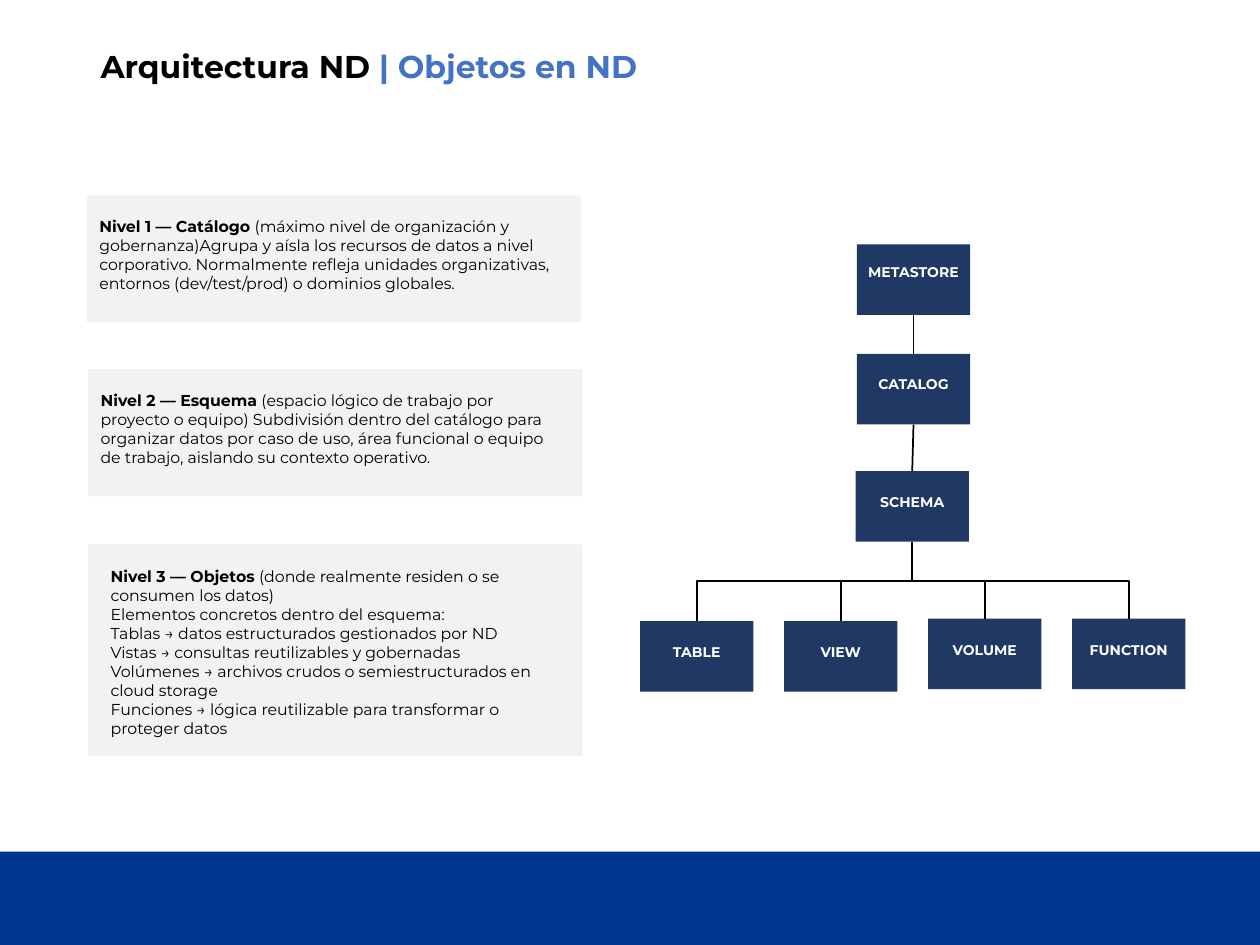
from lxml import etree
from pptx import Presentation
from pptx.dml.color import RGBColor
from pptx.enum.shapes import MSO_CONNECTOR, MSO_SHAPE
from pptx.enum.text import MSO_ANCHOR, PP_ALIGN
from pptx.oxml.ns import qn
from pptx.util import Inches, Pt

RECT = MSO_SHAPE.RECTANGLE
STRAIGHT, ELBOW = MSO_CONNECTOR.STRAIGHT, MSO_CONNECTOR.ELBOW
CENTER, LEFT = PP_ALIGN.CENTER, PP_ALIGN.LEFT
MIDDLE, TOP = MSO_ANCHOR.MIDDLE, MSO_ANCHOR.TOP
FONT = "Montserrat"
BLUE, NAVY, GRAY = "003594", "203864", "F2F2F2"
BLACK, WHITE, ACCENT = "000000", "FFFFFF", "4472C4"
NODE_W, NODE_H = 0.9, 0.56
LABEL_W, LABEL_H = 0.98, 0.34
PANEL_W, PANEL_TEXT_W = 3.92, 3.84
BUS_DROP = 0.31

PANELS = [
    (0.69, 1.55, 1.01, 0, 0.12, [
        ("Nivel 1 — Catálogo ",
         "(máximo nivel de organización y gobernanza)Agrupa y aísla los "
         "recursos de datos a nivel corporativo. Normalmente refleja unidades "
         "organizativas, entornos (dev/test/prod) o dominios globales."),
    ]),
    (0.7, 2.93, 1.01, 0, 0.12, [
        ("Nivel 2 — Esquema ",
         "(espacio lógico de trabajo por proyecto o equipo) Subdivisión dentro "
         "del catálogo para organizar datos por caso de uso, área funcional o "
         "equipo de trabajo, aislando su contexto operativo."),
    ]),
    (0.7, 4.32, 1.68, 0.08, 0.13, [
        ("Nivel 3 — Objetos ",
         "(donde realmente residen o se consumen los datos)"),
        ("", "Elementos concretos dentro del esquema:"),
        ("", "Tablas → datos estructurados gestionados por ND"),
        ("", "Vistas → consultas reutilizables y gobernadas"),
        ("", "Volúmenes → archivos crudos o semiestructurados en cloud storage"),
        ("", "Funciones → lógica reutilizable para transformar o proteger datos"),
    ]),
]
TRUNK = [("METASTORE", 6.8, 1.94, 0.1), ("CATALOG", 6.8, 2.81, 0.12),
         ("SCHEMA", 6.79, 3.74, 0.13)]
LEAVES = [("TABLE", 4.93), ("VIEW", 4.93), ("VOLUME", 4.91), ("FUNCTION", 4.91)]
LEAF_X, LEAF_STEP = 5.08, 1.143


def rgb(value):
    """Return the colour for a hex string."""
    return RGBColor.from_string(value)


def add_box(s, x, y, w, h, color):
    """Add a plain filled rectangle."""
    sp = s.shapes.add_shape(RECT, Inches(x), Inches(y), Inches(w), Inches(h))
    sp.shadow.inherit = False
    sp.fill.solid()
    sp.fill.fore_color.rgb = rgb(color)
    sp.line.fill.background()
    return sp


def add_text(s, x, y, w, h, paragraphs, size, align=LEFT, anchor=TOP, spacing=None):
    """Add a text box from paragraphs of (text, bold, colour) runs."""
    sp = s.shapes.add_textbox(Inches(x), Inches(y), Inches(w), Inches(h))
    tf = sp.text_frame
    tf.word_wrap = True
    tf.vertical_anchor = anchor
    for i, runs in enumerate(paragraphs):
        p = tf.add_paragraph() if i else tf.paragraphs[0]
        p.alignment = align
        p.line_spacing = spacing
        for text, bold, color in runs:
            r = p.add_run()
            r.text = text
            for name, value in {"name": FONT, "size": Pt(size), "bold": bold}.items():
                setattr(r.font, name, value)
            r.font.color.rgb = rgb(color)


def add_panel(s, x, y, h, dx, dy, lines):
    """Add a gray panel with its description of one level."""
    add_box(s, x, y, PANEL_W, h, GRAY)
    paragraphs = [[(text, bold, BLACK) for text, bold in ((head, True), (body, False)) if text]
                  for head, body in lines]
    add_text(s, x + dx, y + dy, PANEL_TEXT_W, h - 0.3, paragraphs, 9)


def add_node(s, name, x, y, dy=0.13):
    """Add a node of the tree with its label and return the rectangle."""
    sp = add_box(s, x, y, NODE_W, NODE_H, NAVY)
    add_text(s, x + (NODE_W - LABEL_W) / 2, y + dy, LABEL_W, LABEL_H,
             [[(name, True, WHITE)]], 8, CENTER)
    return sp


def add_link(s, kind, parent, child):
    """Join the bottom of a parent to the top of a child."""
    link = s.shapes.add_connector(kind, 0, 0, 0, 0)
    link.begin_connect(parent, 2)
    link.end_connect(child, 0)
    link.line.color.rgb = rgb(BLACK)
    link.line.width = Pt(1)
    etree.SubElement(link._element.spPr, qn("a:effectLst"))
    return link


def add_branch(s, parent, child):
    """Join a parent to a child by an elbow that turns at the shared bus."""
    link = add_link(s, ELBOW, parent, child)
    x1, y1 = parent.left + parent.width // 2, parent.top + parent.height
    x2, y2 = child.left + child.width // 2, child.top
    length, span = y2 - y1, abs(x2 - x1)
    link.left, link.top = (x1 + x2 - length) // 2, (y1 + y2 - span) // 2
    link.width, link.height = length, span
    xfrm = link._element.spPr.find(qn("a:xfrm"))
    for name in ("flipH", "flipV"):
        xfrm.attrib.pop(name, None)
    if x2 < x1:
        xfrm.set("rot", "5400000")
    else:
        xfrm.set("rot", "16200000")
        xfrm.set("flipH", "1")
    guides = link._element.spPr.find(qn("a:prstGeom")).find(qn("a:avLst"))
    turn = round(100000 * Inches(BUS_DROP) / length)
    etree.SubElement(guides, qn("a:gd"), name="adj1", fmla=f"val {turn}")


def add_tree(s):
    """Add the object hierarchy from metastore to leaves."""
    trunk = [add_node(s, *node) for node in TRUNK]
    leaves = [add_node(s, name, LEAF_X + i * LEAF_STEP, y)
              for i, (name, y) in enumerate(LEAVES)]
    for parent, child in zip(trunk, trunk[1:]):
        add_link(s, STRAIGHT, parent, child)
    for leaf in leaves:
        add_branch(s, trunk[-1], leaf)


def main():
    """Build and save the slide."""
    prs = Presentation()
    prs.slide_width, prs.slide_height = Inches(10), Inches(7.5)
    s = prs.slides.add_slide(prs.slide_layouts[6])
    add_box(s, 0, 6.76, 10, 0.74, BLUE)
    add_tree(s)
    title = [("Arquitectura ND ", True, BLACK), ("| Objetos en ND", True, ACCENT)]
    add_text(s, 0.7, 0.25, 8.62, 0.59, [title], 18, anchor=MIDDLE, spacing=0.9)
    for panel in PANELS:
        add_panel(s, *panel)
    prs.save("out.pptx")


if __name__ == "__main__":
    main()
